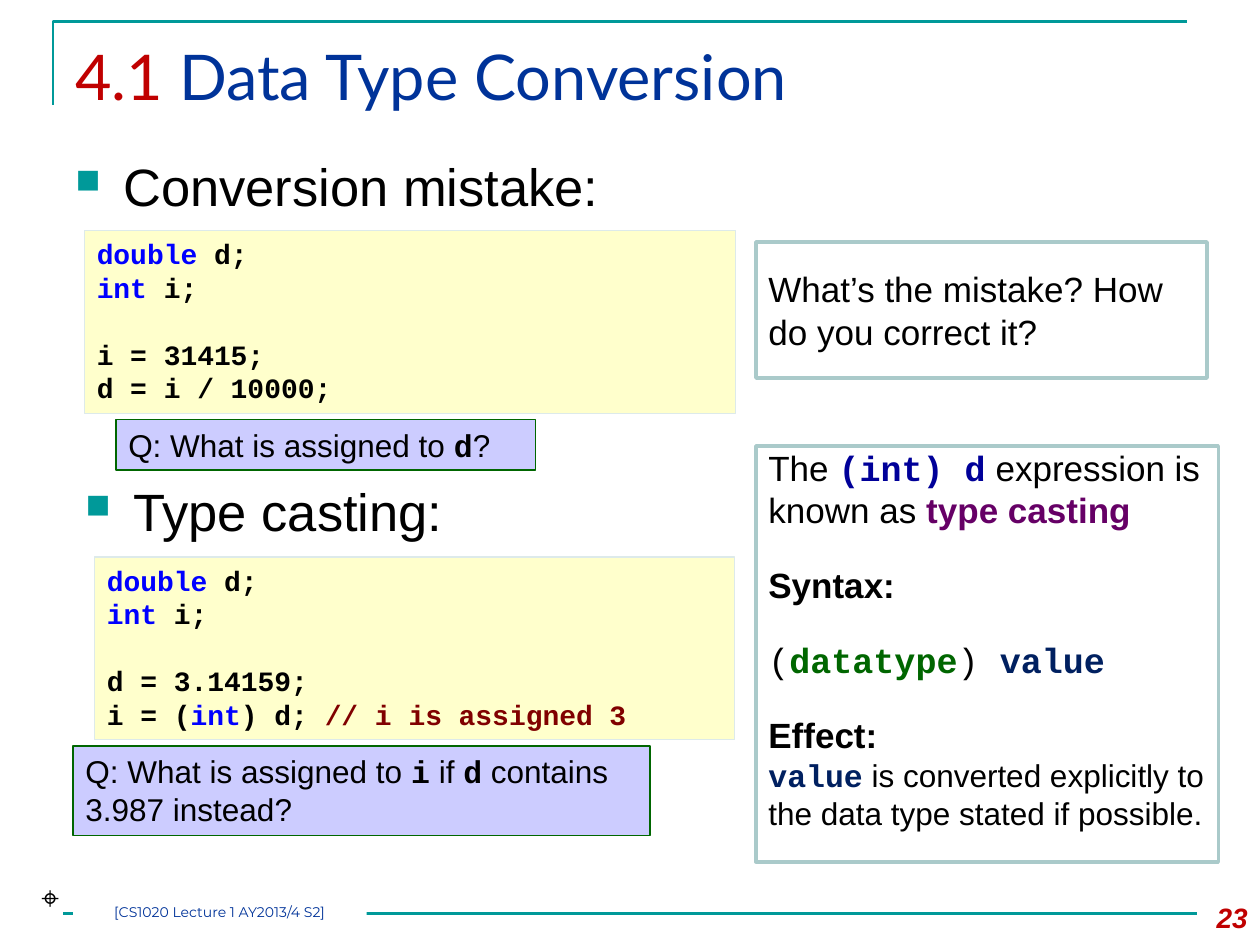
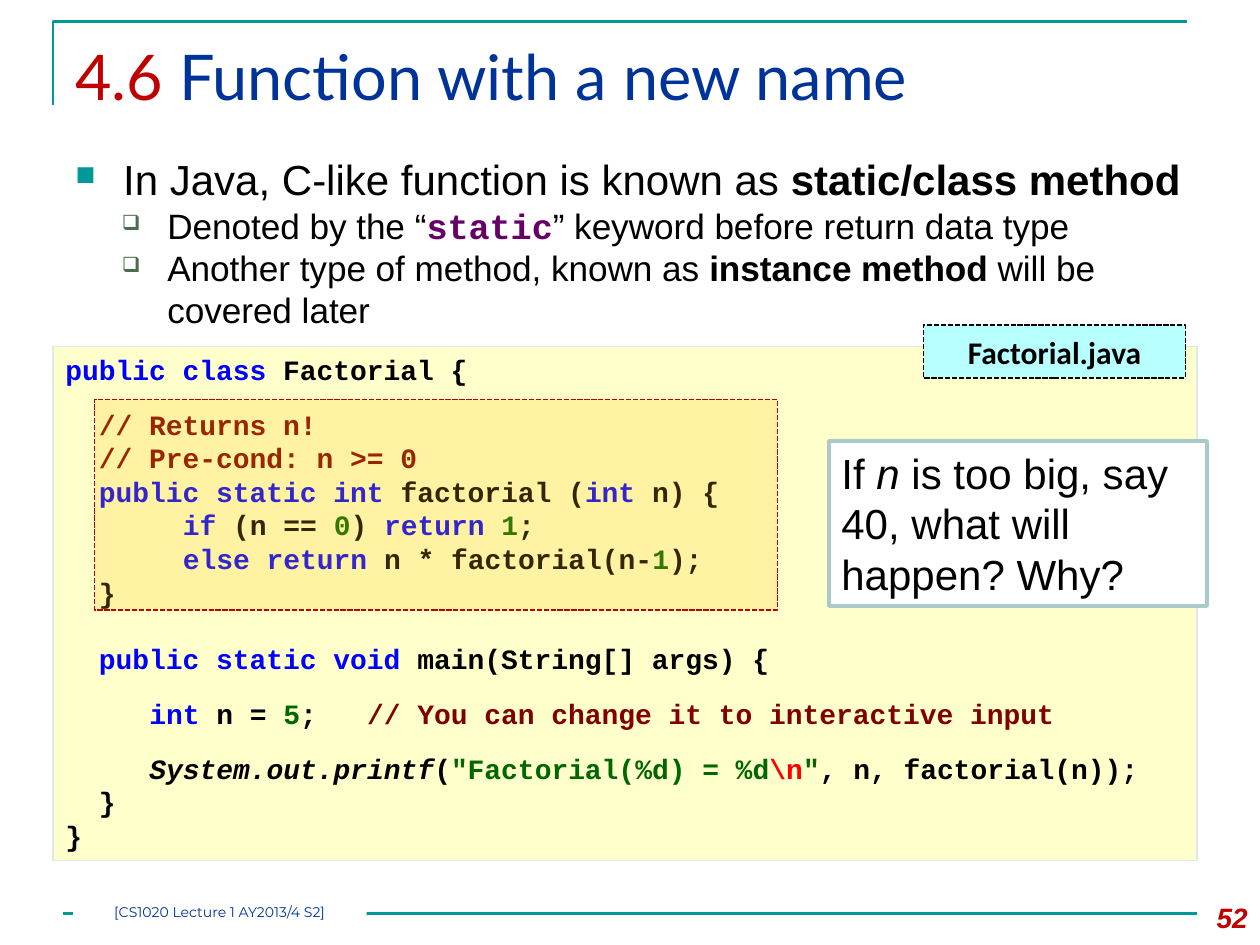
import pptx
import pptx.dml.color
import pptx.enum.dml
import pptx.enum.shapes
import pptx.enum.text
import pptx.oxml.ns
import pptx.util
from lxml import etree

Inches = pptx.util.Inches
Pt = pptx.util.Pt
ALIGN = pptx.enum.text.PP_ALIGN
ANCHOR = pptx.enum.text.MSO_ANCHOR

COLOURS = {
    "teal": "009999", "red": "C00000", "title": "003399", "black": "000000",
    "white": "FFFFFF", "keyword": "0000FF", "comment": "800000",
    "number": "006600", "escape": "FF0000", "cast": "000099",
    "purple": "660066", "value": "002060", "code_fill": "FFFFCC",
    "code_line": "DDEAEA", "note_line": "AACACA", "question_fill": "CCCCFF",
    "file_fill": "B8FFFF", "highlight": "FFC000", "sub_bullet": "4C6D4E",
}

# Text styles: font, colour, bold, italic
STYLES = {
    "section": ("Lato", "red", False, False),
    "title": ("Lato", "title", False, False),
    "footer": ("Montserrat", "title", False, False),
    "page": ("Arial", "red", True, True),
    "file": ("Calibri", "black", True, False),
    "text": ("Arial", "black", False, False),
    "bold": ("Arial", "black", True, False),
    "italic": ("Arial", "black", False, True),
    "term": ("Arial", "purple", True, False),
    "mono": ("Courier New", "black", False, False),
    "code": ("Courier New", "black", True, False),
    "call": ("Courier New", "black", True, True),
    "keyword": ("Courier New", "keyword", True, False),
    "comment": ("Courier New", "comment", True, False),
    "number": ("Courier New", "number", True, False),
    "escape": ("Courier New", "escape", True, False),
    "cast": ("Courier New", "cast", True, False),
    "static": ("Courier New", "purple", True, False),
    "value": ("Courier New", "value", True, False),
}

# Box looks: fill, line, line width, dashed
BOXES = {
    "code": ("code_fill", "code_line", 0.75, False),
    "note": ("white", "note_line", 2, False),
    "question": ("question_fill", "number", 0.75, False),
    "file": ("file_fill", "black", 1, True),
    "highlight": ("highlight", "red", 1, True),
    "footer": ("white", None, 0, False),
}

# Bullets: character, colour, size in percent, left margin, hanging indent
BULLETS = {
    "main": ("■", "teal", 65, 0.38, 0.38),
    "sub": ("❑", "sub_bullet", 60, 0.73, 0.36),
}

FOOTER = "[CS1020 Lecture 1 AY2013/4 S2]"
CODE_SIZE = 16
CHARACTER_WIDTH = 0.6 * CODE_SIZE  # points, fixed-pitch font
BLANK, HALF_BLANK = 19, 12  # gaps in points that separate blocks


def line(*runs, **options):
    """A paragraph: runs are plain strings or (text, style) pairs.

    Options: size, gap (points before), indent (characters), bullet.
    """
    return {"runs": runs, **options}


# Content of slide 23
DECLARATIONS = [
    line(("double", "keyword"), " d;"),
    line(("int ", "keyword"), "i;"),
]
MISTAKE_CODE = DECLARATIONS + [
    line("i = 31415;", gap=BLANK),
    line("d = i / 10000;"),
]
CASTING_CODE = DECLARATIONS + [
    line("d = 3.14159;", gap=BLANK),
    line("i = (", ("int", "keyword"), ") d; ",
         ("// i is assigned 3", "comment")),
]
CASTING_NOTE = [
    line("The ", ("(int) d", "cast"), " expression is known as ",
         ("type casting", "term")),
    line(("Syntax:", "bold"), gap=BLANK),
    line(("(", "mono"), ("datatype", "number"), (") ", "mono"),
         ("value", "value"), gap=BLANK),
    line(("Effect:", "bold"), gap=BLANK),
    line(("value", "value"),
         " is converted explicitly to the data type stated if possible.",
         size=18),
]
MISTAKE_QUESTION = [line("Q: What is assigned to ", ("d", "code"), "?")]
CASTING_QUESTION = [
    line("Q: What is assigned to ", ("i", "code"), " if ", ("d", "code"),
         " contains 3.987 instead?"),
]

# Content of slide 52
METHOD_POINTS = [
    line("In Java, C-like function is known as ",
         ("static/class method", "bold"), size=24, bullet="main"),
    line("Denoted by the “", ("static", "static"),
         "” keyword before return data type", bullet="sub"),
    line("Another type of method, known as ", ("instance method ", "bold"),
         "will be covered later", bullet="sub"),
]
FACTORIAL_CODE = [
    line(("public class ", "keyword"), "Factorial {"),
    line(("// Returns n!", "comment"), indent=2, gap=HALF_BLANK),
    line(("// Pre-cond: n >= 0", "comment"), indent=2),
    line(("public static int ", "keyword"), "factorial (",
         ("int", "keyword"), " n) {", indent=2),
    line(("if", "keyword"), " (n == ", ("0", "number"), ") ",
         ("return ", "keyword"), ("1", "number"), ";", indent=7),
    line(("else return", "keyword"), " n * factorial(n-", ("1", "number"),
         ");", indent=7),
    line("}", indent=2),
    line(("public static void ", "keyword"), "main(String[] args) {",
         indent=2, gap=BLANK),
    line(("int", "keyword"), " n = ", ("5", "number"), ";   ",
         ("// You can change it to interactive input", "comment"),
         indent=5, gap=HALF_BLANK),
    line(("System.out.printf", "call"), "(",
         ('"Factorial(%d) = %d', "number"), ("\\n", "escape"),
         ('"', "number"), ", n, factorial(n));", indent=5, gap=HALF_BLANK),
    line("}", indent=2),
    line("}"),
]
OVERFLOW_NOTE = [
    line("If ", ("n", "italic"), " is too big, say 40, what will happen? Why?"),
]


def rgb(name):
    return pptx.dml.color.RGBColor.from_string(COLOURS[name])


def add_xml(parent, tag, **attributes):
    return etree.SubElement(parent, pptx.oxml.ns.qn(tag), attributes)


def set_font(font, style, size):
    name, colour, bold, italic = STYLES[style]
    font.name, font.size = name, Pt(size)
    font.bold, font.italic = bold, italic
    font.color.rgb = rgb(colour)


def set_bullet(paragraph, kind):
    character, colour, percent, margin, hanging = BULLETS[kind]
    properties = paragraph._p.get_or_add_pPr()
    properties.set("marL", str(Inches(margin)))
    properties.set("indent", str(-Inches(hanging)))
    add_xml(add_xml(properties, "a:buClr"), "a:srgbClr", val=COLOURS[colour])
    add_xml(properties, "a:buSzPct", val=str(percent * 1000))
    add_xml(properties, "a:buChar", char=character)


def write(shape, lines, style, size, align=ALIGN.LEFT, anchor=ANCHOR.TOP):
    frame = shape.text_frame
    frame.word_wrap = True
    frame.vertical_anchor = anchor
    for number, content in enumerate(lines):
        paragraph = frame.add_paragraph() if number else frame.paragraphs[0]
        paragraph.alignment = align
        paragraph.space_before = Pt(content.get("gap", 0))
        if "indent" in content:
            margin = Pt(CHARACTER_WIDTH * content["indent"])
            paragraph._p.get_or_add_pPr().set("marL", str(margin))
        if "bullet" in content:
            set_bullet(paragraph, content["bullet"])
        line_size = content.get("size", size)
        set_font(paragraph.font, style, line_size)
        for item in content["runs"]:
            text, run_style = (item, style) if isinstance(item, str) else item
            run = paragraph.add_run()
            run.text = text
            set_font(run.font, run_style, line_size)


def add_text(slide, place, lines, style, size, **options):
    shape = slide.shapes.add_textbox(*map(Inches, place))
    write(shape, lines, style, size, **options)


def add_box(slide, kind, place):
    fill, outline, width, dashed = BOXES[kind]
    shape = slide.shapes.add_shape(
        pptx.enum.shapes.MSO_SHAPE.RECTANGLE, *map(Inches, place))
    shape.shadow.inherit = False
    shape.fill.solid()
    shape.fill.fore_color.rgb = rgb(fill)
    if outline is None:
        shape.line.fill.background()
        return shape
    shape.line.color.rgb = rgb(outline)
    shape.line.width = Pt(width)
    if dashed:
        shape.line.dash_style = pptx.enum.dml.MSO_LINE.SQUARE_DOT
    return shape


def add_code(slide, place, lines):
    write(add_box(slide, "code", place), lines, "code", CODE_SIZE)


def add_note(slide, place, lines, size=20, **options):
    shape = add_box(slide, "note", place)
    write(shape, lines, "text", size, **options)
    return shape


def add_question(slide, place, lines):
    write(add_box(slide, "question", place), lines, "text", 18)


def add_heading(slide, place, text):
    add_text(slide, place, [line(text, gap=6, bullet="main")], "text", 30)


def add_frame(presentation, section, title, page):
    """A slide with the corner line, title, footer and page number."""
    slide = presentation.slides.add_slide(presentation.slide_layouts[6])
    builder = slide.shapes.build_freeform(
        Inches(0.42), Inches(0.83), scale=1.0)
    builder.add_line_segments(
        [(Inches(0.42), Inches(0.17)), (Inches(9.42), Inches(0.17))],
        close=False)
    corner = builder.convert_to_shape()
    corner.shadow.inherit = False
    corner.fill.background()
    rule = slide.shapes.add_connector(
        pptx.enum.shapes.MSO_CONNECTOR.STRAIGHT,
        Inches(0.5), Inches(7.25), Inches(9.5), Inches(7.25))
    add_xml(rule._element.spPr, "a:effectLst")
    for stroke in (corner.line, rule.line):
        stroke.color.rgb = rgb("teal")
        stroke.width = Pt(1.5)
    add_text(slide, (0.5, 0.25, 9, 0.86),
             [line((section, "section"), " " + title)], "title", 36)
    add_text(slide, (9.33, 7.1, 0.67, 0.4), [line(page)], "page", 16,
             align=ALIGN.RIGHT)
    footer = add_box(slide, "footer", (0.58, 7.17, 2.33, 0.17))
    frame = footer.text_frame
    frame.margin_left = frame.margin_right = 0
    frame.margin_top = frame.margin_bottom = 0
    write(footer, [line(FOOTER)], "footer", 8, align=ALIGN.CENTER)
    return slide


def build_conversion(presentation):
    slide = add_frame(presentation, "4.1", "Data Type Conversion", "23")
    # Conversion mistake
    add_heading(slide, (0.5, 1.17, 9, 0.65), "Conversion mistake:")
    add_code(slide, (0.67, 1.83, 5.17, 1.45), MISTAKE_CODE)
    add_note(slide, (6, 1.92, 3.58, 1.08),
             [line("What’s the mistake? How do you correct it?")],
             anchor=ANCHOR.MIDDLE)
    add_question(slide, (0.92, 3.33, 3.33, 0.4), MISTAKE_QUESTION)
    # Type casting
    add_heading(slide, (0.58, 3.75, 5.25, 0.65), "Type casting:")
    add_code(slide, (0.75, 4.42, 5.08, 1.45), CASTING_CODE)
    note = add_note(slide, (6, 3.54, 3.67, 3.3), CASTING_NOTE)
    note.text_frame.margin_top = 0
    note.text_frame.margin_right = Inches(0.05)
    add_question(slide, (0.58, 5.92, 4.58, 0.71), CASTING_QUESTION)
    add_text(slide, (0.23, 6.92, 0.33, 0.4), [line("⌖")], "text", 18,
             align=ALIGN.CENTER)


def build_function(presentation):
    slide = add_frame(presentation, "4.6", "Function with a new name", "52")
    add_text(slide, (0.5, 1.17, 9, 1.67), METHOD_POINTS, "text", 20.1)
    add_code(slide, (0.42, 2.75, 9.08, 4.08), FACTORIAL_CODE)
    # Translucent mark over the method
    highlight = add_box(slide, "highlight", (0.75, 3.17, 5.42, 1.67))
    fill = highlight._element.spPr.find(pptx.oxml.ns.qn("a:solidFill"))
    add_xml(fill[0], "a:alpha", val="20000")
    # File label and question
    write(add_box(slide, "file", (7.33, 2.58, 2.08, 0.42)),
          [line("Factorial.java")], "file", 18,
          align=ALIGN.CENTER, anchor=ANCHOR.MIDDLE)
    add_note(slide, (6.58, 3.5, 3, 1.31), OVERFLOW_NOTE, size=24)


def main():
    presentation = pptx.Presentation()
    presentation.slide_width = Inches(10)
    presentation.slide_height = Inches(7.5)
    build_conversion(presentation)
    build_function(presentation)
    presentation.save("out.pptx")


if __name__ == "__main__":
    main()
